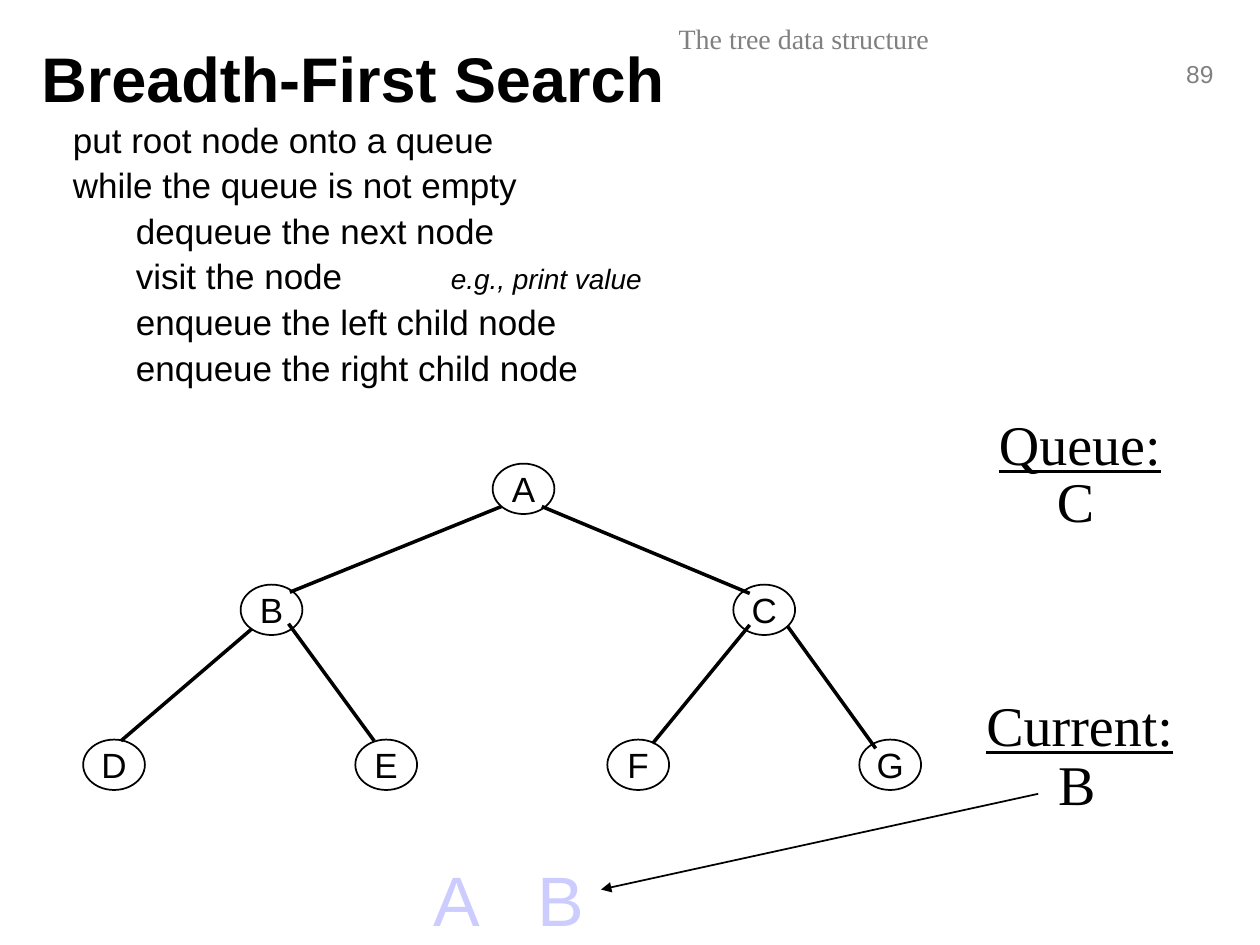
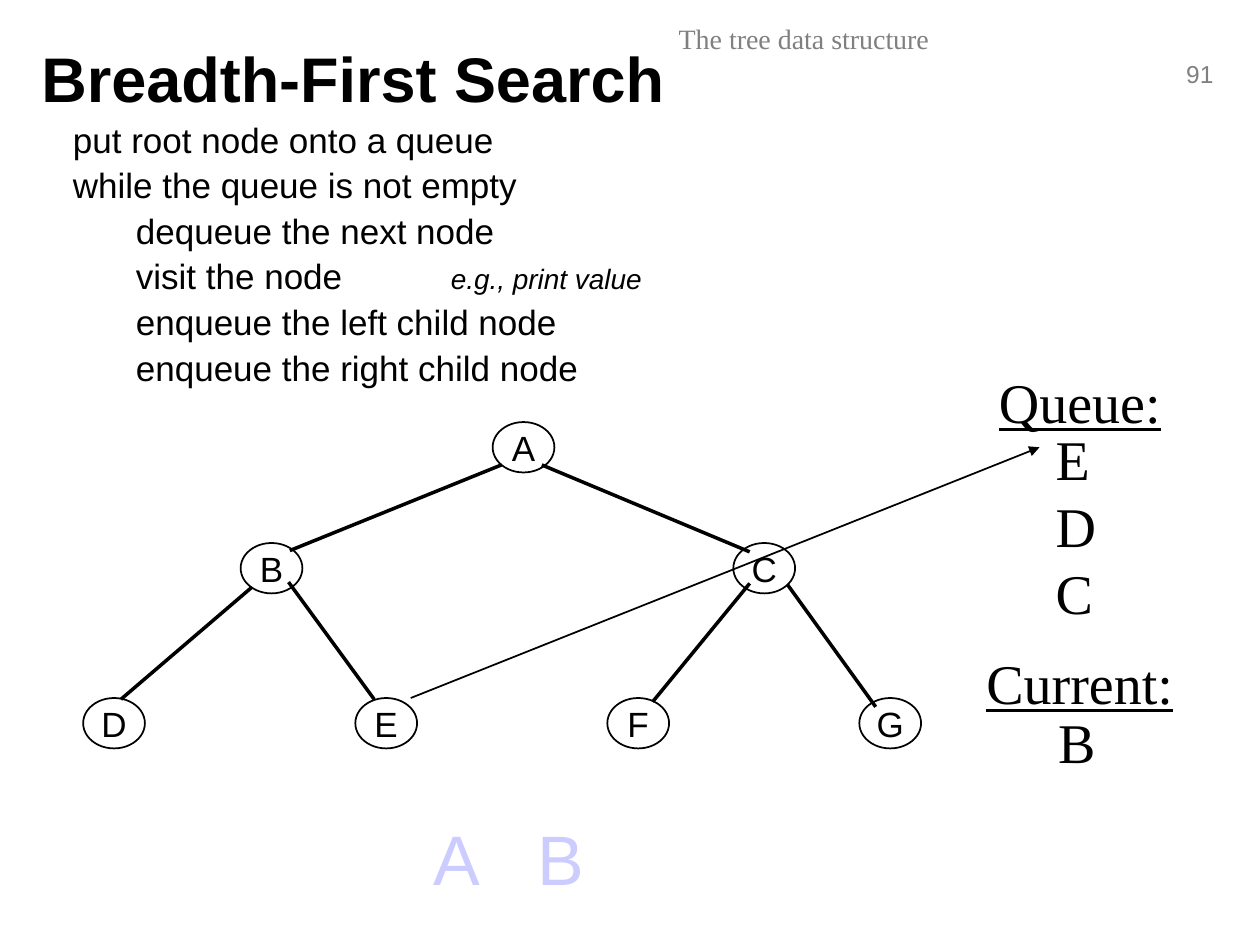
from lxml.etree import SubElement
from pptx import Presentation
from pptx.dml.color import RGBColor
from pptx.enum.shapes import MSO_CONNECTOR, MSO_SHAPE
from pptx.enum.text import MSO_ANCHOR, PP_ALIGN
from pptx.oxml.ns import qn
from pptx.util import Inches, Pt

BLACK = RGBColor(0x00, 0x00, 0x00)
WHITE = RGBColor(0xFF, 0xFF, 0xFF)
GRAY = RGBColor(0x80, 0x80, 0x80)
LAVENDER = RGBColor(0xCC, 0xCC, 0xFF)
SANS, SERIF = "Arial", "Times New Roman"

NODE_WIDTH, NODE_HEIGHT = 0.49, 0.4
NODES = {
    "A": (3.91, 3.68),
    "B": (1.91, 4.64), "C": (5.82, 4.64),
    "D": (0.66, 5.87), "E": (2.82, 5.87), "F": (4.82, 5.87), "G": (6.82, 5.87),
}
EDGES = [
    ((3.98, 4.02), (2.3, 4.7)),
    ((4.3, 4.02), (5.95, 4.71)),
    ((2, 4.99), (0.96, 5.88)),
    ((5.95, 4.96), (5.18, 5.9)),
    ((6.25, 4.97), (6.95, 5.94)),
    ((2.29, 4.95), (2.97, 5.88)),
]
# Each step: indent in inches, text, remark in italics
ALGORITHM = [
    (0.5, "put root node onto a queue", ""),
    (0.5, "while the queue is not empty", ""),
    (1, "dequeue the next node", ""),
    (1, "visit the node\t\t", "e.g., print value"),
    (1, "enqueue the left child node", ""),
    (1, "enqueue the right child node", ""),
]
# "rise" is how far the tree and its labels move up
STATES = [
    {"number": "89", "rise": 0, "queue": ["C"], "queue_box": (8.29, 0.51, 0.64),
     "arrow": ((8.24, 6.3), (4.77, 7.06))},
    {"number": "91", "rise": 0.33, "queue": ["E", "D", "C"], "queue_box": (8.28, 0.53, 1.71),
     "arrow": ((3.26, 5.54), (8.25, 3.55))},
]


def add_text(page, place, lines, size, font_name, color=BLACK, wrap=False):
    box = page.shapes.add_textbox(*[Inches(length) for length in place])
    frame = box.text_frame
    frame.word_wrap = wrap
    frame.text = "\n".join(lines)
    for para in frame.paragraphs:
        para.font.size = Pt(size)
        para.font.name = font_name
        para.font.color.rgb = color
    return frame


def add_line(page, start, end, width, arrow=False):
    line = page.shapes.add_connector(
        MSO_CONNECTOR.STRAIGHT, *[Inches(length) for length in (*start, *end)])
    line.line.color.rgb = BLACK
    line.line.width = Pt(width)
    if arrow:
        SubElement(line.line._get_or_add_ln(), qn("a:tailEnd"), type="triangle")
    SubElement(line._element.spPr, qn("a:effectLst"))


deck = Presentation()
deck.slide_width, deck.slide_height = Inches(10), Inches(7.5)

for state in STATES:
    page = deck.slides.add_slide(deck.slide_layouts[6])
    rise = state["rise"]

    # Header and title
    number = add_text(page, (9.29, 0.42, 0.44, 0.33), [state["number"]], 14, SANS, GRAY)
    number.paragraphs[0].alignment = PP_ALIGN.RIGHT
    header = add_text(page, (3.19, 0.12, 6.38, 0.4), ["The tree data structure"],
                      16, SERIF, GRAY, wrap=True)
    header.paragraphs[0].alignment = PP_ALIGN.CENTER
    title = add_text(page, (0.23, 0.15, 8.03, 0.93), ["Breadth-First Search"],
                     36, SANS, wrap=True)
    title.vertical_anchor = MSO_ANCHOR.MIDDLE
    title.paragraphs[0].font.bold = True

    # Tree
    for letter, (left, top) in NODES.items():
        node = page.shapes.add_shape(
            MSO_SHAPE.OVAL, Inches(left), Inches(top - rise),
            Inches(NODE_WIDTH), Inches(NODE_HEIGHT))
        node.shadow.inherit = False
        node.fill.solid()
        node.fill.fore_color.rgb = WHITE
        node.line.color.rgb = BLACK
        node.line.width = Pt(1)
        frame = node.text_frame
        frame.margin_left = frame.margin_right = frame.margin_top = frame.margin_bottom = 0
        frame.word_wrap = False
        frame.vertical_anchor = MSO_ANCHOR.MIDDLE
        para = frame.paragraphs[0]
        para.text = letter
        para.alignment = PP_ALIGN.CENTER
        para.font.size = Pt(20)
        para.font.name = SANS
        para.font.color.rgb = BLACK
    for (start_x, start_y), (end_x, end_y) in EDGES:
        add_line(page, (start_x, start_y - rise), (end_x, end_y - rise), 2)

    # Queue and current node
    for label, left, top, width in [("Queue:", 7.83, 3.2, 1.5), ("Current:", 7.73, 5.43, 1.69)]:
        heading = add_text(page, (left, top - rise, width, 0.64), [label], 32, SERIF)
        heading.paragraphs[0].font.underline = True
    left, width, height = state["queue_box"]
    add_text(page, (left, 3.65 - rise, width, height), state["queue"], 32, SERIF)
    add_text(page, (8.3, 5.9 - rise, 0.51, 0.64), ["B"], 32, SERIF)
    add_line(page, *state["arrow"], 1, arrow=True)

    # Visited nodes, with a text shadow
    visited = add_text(page, (3.34, 6.75 - rise, 1.4, 0.76), [], 40, SANS, LAVENDER)
    para = visited.paragraphs[0]
    tabs = para._p.get_or_add_pPr()
    tab_list = tabs.makeelement(qn("a:tabLst"), {})
    tabs.insert(0, tab_list)
    SubElement(tab_list, qn("a:tab"), pos=str(Inches(0.83)), algn="l")
    span = para.add_run()
    span.text = "A\tB"
    effects = SubElement(span.font._element, qn("a:effectLst"))
    shadow = SubElement(effects, qn("a:outerShdw"), dist="35921", dir="2700000")
    SubElement(shadow, qn("a:srgbClr"), val=str(BLACK))

    # Algorithm
    steps = add_text(page, (-0.02, 0.89, 5.78, 2.26), [text for _, text, _ in ALGORITHM], 20, SANS)
    for index, (para, (indent, _, remark)) in enumerate(zip(steps.paragraphs, ALGORITHM)):
        properties = para._p.get_or_add_pPr()
        properties.set("marL", str(Inches(indent)))
        properties.set("indent", "0")
        if index:
            para.space_before = Pt(2)
        if remark:
            span = para.add_run()
            span.text = remark
            span.font.size = Pt(16)
            span.font.italic = True

deck.save("out.pptx")
